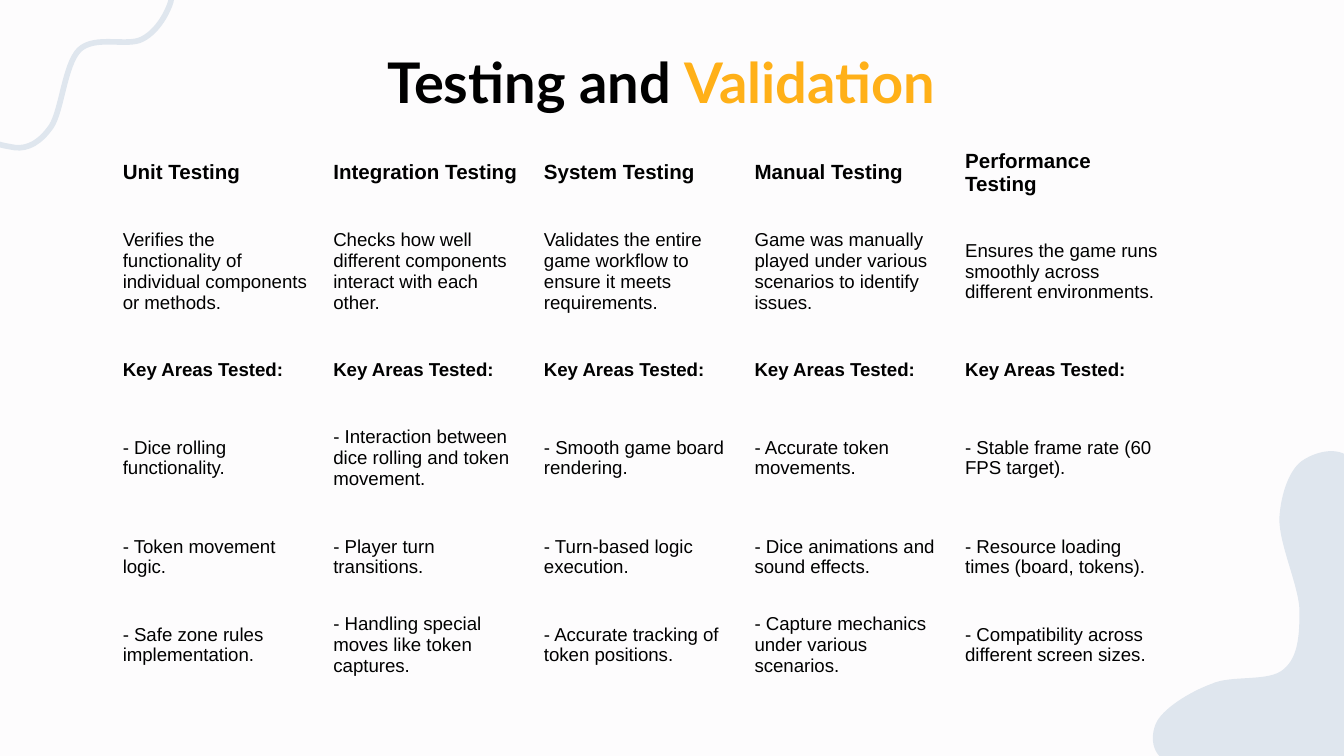
"""Build the Testing and Validation slide: a title, a five-column table and two soft outlines."""
from dataclasses import dataclass
from typing import Optional

from lxml import etree
from pptx import Presentation
from pptx.dml.color import RGBColor
from pptx.enum.text import MSO_ANCHOR, PP_ALIGN
from pptx.oxml.ns import qn
from pptx.util import Cm, Pt

TOP, MIDDLE = MSO_ANCHOR.TOP, MSO_ANCHOR.MIDDLE
CENTER = PP_ALIGN.CENTER
COLORS = {"page": "FDFCFD", "ink": "000000", "accent": "FFB018", "mist": "DFE6EE"}
PLAIN_TABLE_STYLE = "{2D5ABB26-0587-4C30-8999-92F81FD0307C}"
KEY_AREAS = "Key Areas Tested:"
ROW_HEIGHTS = (1.02, 2.72, 1.02, 2.29, 1.45, 1.88)
COLUMN_WIDTH = 3.98

Point = tuple[float, float]


@dataclass(frozen=True)
class Outline:
    """A closed chain of cubic curves and its bounds, in centimetres."""
    left: float
    top: float
    width: float
    height: float
    start: Point
    curves: tuple[tuple[Point, Point, Point], ...]
    fill: Optional[str] = None
    line: Optional[str] = None


@dataclass(frozen=True)
class TestKind:
    """One column of the table."""
    name: str
    purpose: str
    areas: tuple[str, str, str]


OUTLINES = (
    Outline(21.79, 8.53, 4.47, 6.02, (22.25, 14.48), (
        ((21.74, 14.35), (21.74, 13.94), (21.84, 13.69)),
        ((21.95, 13.41), (22.48, 13.08), (22.89, 12.93)),
        ((23.27, 12.75), (23.98, 12.9), (24.26, 12.65)),
        ((24.54, 12.42), (24.56, 11.99), (24.56, 11.53)),
        ((24.54, 11.05), (24.16, 10.26), (24.18, 9.78)),
        ((24.21, 9.32), (24.38, 8.84), (24.64, 8.69)),
        ((24.89, 8.53), (25.43, 8.36), (25.68, 8.86)),
        ((25.96, 9.37), (26.14, 10.82), (26.21, 11.71)),
        ((26.26, 12.62), (26.29, 13.77), (26.06, 14.22)),
        ((25.83, 14.68), (25.48, 14.43), (24.84, 14.48)),
        ((24.21, 14.53), (22.73, 14.61), (22.25, 14.48)),
    ), fill="mist"),
    Outline(-1.02, -0.74, 4.24, 3.53, (-0.53, 2.18), (
        ((-0.33, 2.74), (0.03, 2.74), (0.28, 2.79)),
        ((0.53, 2.82), (0.76, 2.69), (0.97, 2.39)),
        ((1.17, 2.08), (1.22, 1.22), (1.5, 0.94)),
        ((1.8, 0.66), (2.41, 0.89), (2.69, 0.74)),
        ((3, 0.58), (3.18, 0.2), (3.23, 0.03)),
        ((3.25, -0.15), (3.3, -0.28), (2.95, -0.38)),
        ((2.62, -0.46), (1.8, -0.48), (1.17, -0.51)),
        ((0.53, -0.53), (-0.64, -0.97), (-0.91, -0.51)),
        ((-1.19, -0.05), (-0.74, 1.65), (-0.53, 2.18)),
    ), line="mist"),
)

TEST_KINDS = (
    TestKind("Unit Testing",
             "Verifies the functionality of individual components or methods.",
             ("- Dice rolling functionality.", "- Token movement logic.",
              "- Safe zone rules implementation.")),
    TestKind("Integration Testing",
             "Checks how well different components interact with each other.",
             ("- Interaction between dice rolling and token movement.",
              "- Player turn transitions.",
              "- Handling special moves like token captures.")),
    TestKind("System Testing",
             "Validates the entire game workflow to ensure it meets requirements.",
             ("- Smooth game board rendering.", "- Turn-based logic execution.",
              "- Accurate tracking of token positions.")),
    TestKind("Manual Testing",
             "Game was manually played under various scenarios to identify issues.",
             ("- Accurate token movements.", "- Dice animations and sound effects.",
              "- Capture mechanics under various scenarios.")),
    TestKind("Performance Testing",
             "Ensures the game runs smoothly across different environments.",
             ("- Stable frame rate (60 FPS target).",
              "- Resource loading times (board, tokens).",
              "- Compatibility across different screen sizes.")),
)


def rgb(name: str) -> RGBColor:
    """Look up a named colour."""
    return RGBColor.from_string(COLORS[name])


def add_text(para, text: str, *, size: float, font: str = "Arial", color: str = "ink",
             bold: bool = False, align=None, spacing: Optional[float] = None) -> None:
    """Append one formatted span to a paragraph."""
    para.alignment = align
    para.line_spacing = spacing
    span = para.add_run()
    span.text = text
    span.font.name = font
    span.font.size = Pt(size)
    span.font.bold = bold
    span.font.color.rgb = rgb(color)


def draw_outline(page, outline: Outline) -> None:
    """Draw a smooth closed outline."""
    left, top = Cm(outline.left), Cm(outline.top)
    right, bottom = left + Cm(outline.width), top + Cm(outline.height)
    builder = page.shapes.build_freeform(left, top)
    builder.add_line_segments([(right, top), (right, bottom), (left, bottom)])
    shape = builder.convert_to_shape()
    track = next(shape._element.iter(qn("a:path")))
    for child in list(track):
        track.remove(child)
    steps = [("a:moveTo", (outline.start,))]
    steps += [("a:cubicBezTo", curve) for curve in outline.curves]
    for tag, points in steps:
        step = etree.SubElement(track, qn(tag))
        for x, y in points:
            etree.SubElement(step, qn("a:pt"), x=str(Cm(x) - left), y=str(Cm(y) - top))
    etree.SubElement(track, qn("a:close"))
    shape.shadow.inherit = False
    if outline.fill:
        shape.fill.solid()
        shape.fill.fore_color.rgb = rgb(outline.fill)
    else:
        shape.fill.background()
    if outline.line:
        shape.line.color.rgb = rgb(outline.line)
        shape.line.width = Pt(3)
    else:
        shape.line.fill.background()


def draw_title(page) -> None:
    """Place and fill the title placeholder."""
    box = page.shapes.title
    box.left, box.top, box.width, box.height = Cm(1.78), Cm(0.46), Cm(21.44), Cm(1.93)
    frame = box.text_frame
    frame.word_wrap = True
    frame.vertical_anchor = TOP
    frame.margin_left = frame.margin_right = Cm(0.25)
    frame.margin_top = frame.margin_bottom = Cm(0.25)
    for text, color in (("Testing and ", "ink"), ("Validation", "accent")):
        add_text(frame.paragraphs[0], text, size=30, font="Lato", color=color,
                 bold=True, align=CENTER, spacing=1.15)


def draw_table(page, kinds: tuple[TestKind, ...]) -> None:
    """Draw one column for each kind of test."""
    box = page.shapes.add_table(len(ROW_HEIGHTS), len(kinds), Cm(2.15), Cm(2.75),
                                Cm(COLUMN_WIDTH * len(kinds)), Cm(sum(ROW_HEIGHTS)))
    table = box.table
    table.first_row = table.horz_banding = False
    table._tbl.tblPr.find(qn("a:tableStyleId")).text = PLAIN_TABLE_STYLE
    for row, height in zip(table.rows, ROW_HEIGHTS):
        row.height = Cm(height)
    for column, kind in enumerate(kinds):
        table.columns[column].width = Cm(COLUMN_WIDTH)
        for row, text in enumerate((kind.name, kind.purpose, KEY_AREAS, *kind.areas)):
            cell = table.cell(row, column)
            cell.fill.background()
            cell.vertical_anchor = MIDDLE
            cell.margin_left = cell.margin_right = Cm(0.17)
            cell.margin_top = cell.margin_bottom = Cm(0.08)
            add_text(cell.text_frame.paragraphs[0], text, size=11 if row == 0 else 10,
                     bold=text in (kind.name, KEY_AREAS))


def main() -> None:
    """Build and save the deck."""
    deck = Presentation()
    deck.slide_width, deck.slide_height = Cm(25.4), Cm(14.29)
    page = deck.slides.add_slide(deck.slide_layouts[5])
    page.background.fill.solid()
    page.background.fill.fore_color.rgb = rgb("page")
    for outline in OUTLINES:
        draw_outline(page, outline)
    draw_title(page)
    draw_table(page, TEST_KINDS)
    deck.save("out.pptx")


if __name__ == "__main__":
    main()
